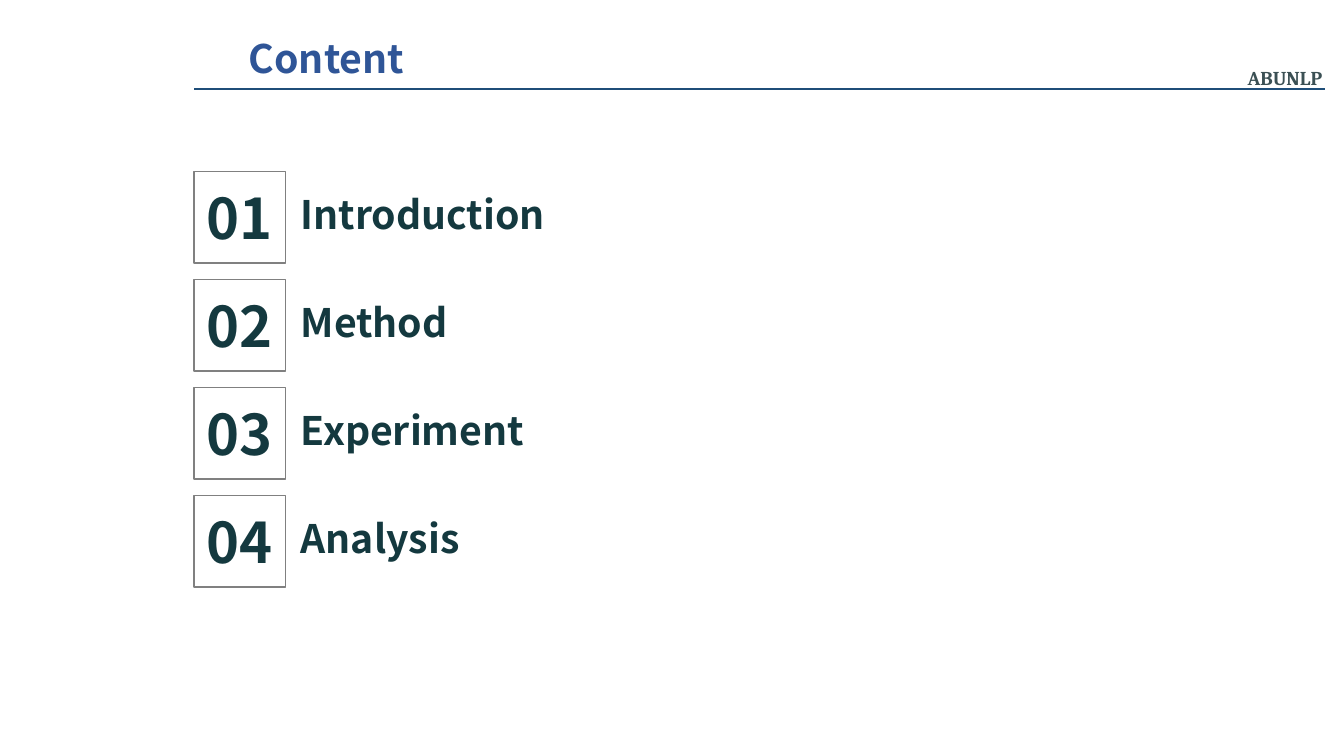
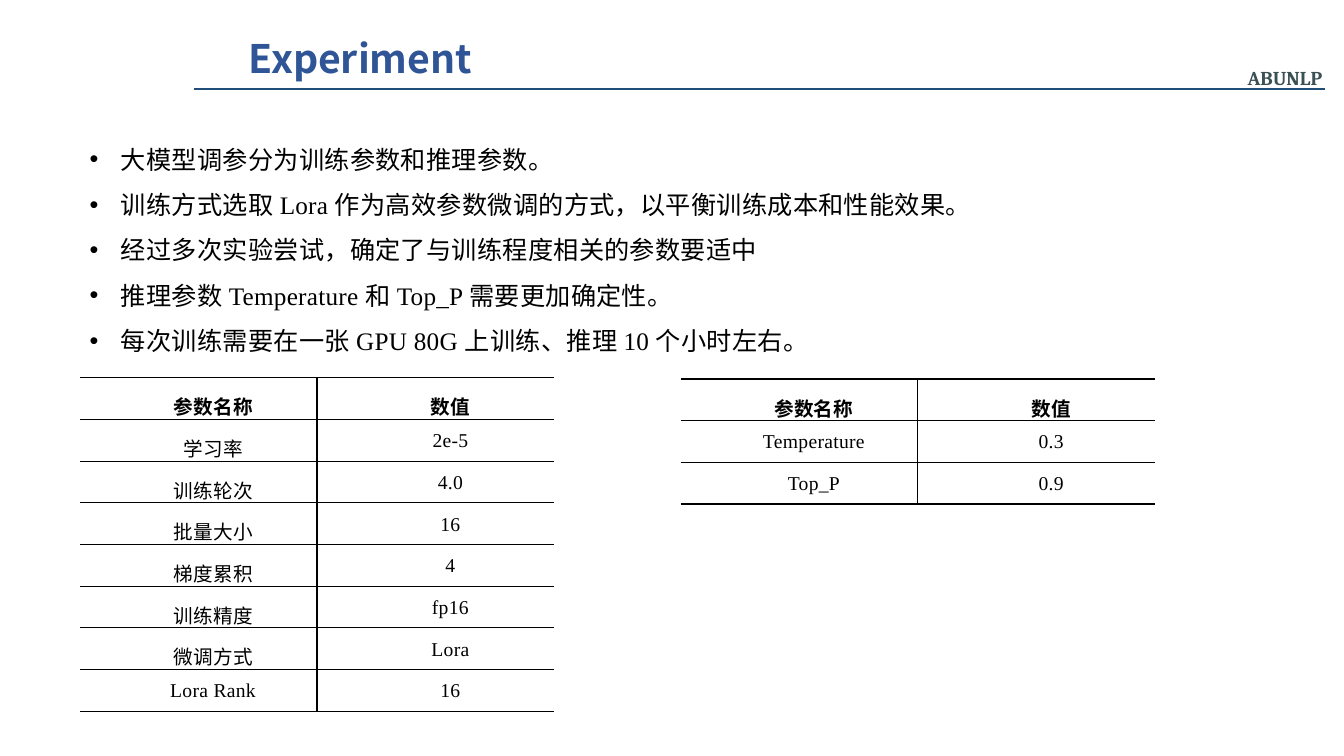
import pptx
import pptx.util
import pptx.dml.color
import pptx.enum.shapes
import pptx.enum.text
import pptx.oxml
import pptx.oxml.ns
import lxml.etree

Cm, Pt = pptx.util.Cm, pptx.util.Pt
RGBColor = pptx.dml.color.RGBColor
ALIGN = pptx.enum.text.PP_ALIGN
MIDDLE = pptx.enum.text.MSO_ANCHOR.MIDDLE
qn = pptx.oxml.ns.qn

# Content
TOPICS = ["Introduction", "Method", "Experiment", "Analysis"]
POINTS = [
    "大模型调参分为训练参数和推理参数。",
    "训练方式选取 Lora 作为高效参数微调的方式，以平衡训练成本和性能效果。",
    "经过多次实验尝试，确定了与训练程度相关的参数要适中",
    "推理参数 Temperature 和 Top_P 需要更加确定性。",
    "每次训练需要在一张 GPU 80G 上训练、推理 10 个小时左右。",
]
HEAD = ("参数名称", "数值")
TRAIN = [
    HEAD, ("学习率", "2e-5"), ("训练轮次", "4.0"), ("批量大小", "16"),
    ("梯度累积", "4"), ("训练精度", "fp16"), ("微调方式", "Lora"),
    ("Lora Rank", "16"),
]
INFER = [HEAD, ("Temperature", "0.3"), ("Top_P", "0.9")]
GROUP = "ABUNLP"

# Shared style
SANS, SERIF, TIMES = "Noto Sans CJK SC", "Cambria", "Times New Roman"
BLUE = RGBColor(0x2F, 0x55, 0x97)
NAVY = RGBColor(0x1F, 0x4E, 0x79)
TEAL = RGBColor(0x14, 0x39, 0x3F)
SLATE = RGBColor(0x3B, 0x50, 0x54)
GRAY = RGBColor(0x80, 0x80, 0x80)
BLACK = RGBColor(0, 0, 0)


def write(para, text, size, color, font=SANS, bold=True, track=None):
    run = para.add_run()
    run.text = text
    run.font.size, run.font.bold, run.font.name = Pt(size), bold, font
    run.font.color.rgb = color
    props = run.font._element
    lxml.etree.SubElement(props, qn("a:ea"), typeface=SANS)
    if track:
        props.set("spc", str(track))


def add_box(slide, left, top, width, height):
    box = slide.shapes.add_textbox(Cm(left), Cm(top), Cm(width), Cm(height))
    box.text_frame.word_wrap = True
    return box.text_frame


def indent(para, left, first):
    props = para._p.get_or_add_pPr()
    props.set("marL", str(Cm(left)))
    props.set("indent", str(Cm(first)))
    return props


def add_page(deck, title):
    slide = deck.slides.add_slide(deck.slide_layouts[6])
    # Rule below the title
    rule = slide.shapes.add_connector(
        pptx.enum.shapes.MSO_CONNECTOR.STRAIGHT,
        Cm(4.89), Cm(2.24), Cm(33.38), Cm(2.24))
    rule.line.color.rgb, rule.line.width = NAVY, Pt(1.25)
    lxml.etree.SubElement(rule._element.spPr, qn("a:effectLst"))
    # Title and group name
    frame = add_box(slide, 6.02, 0.74, 7.72, 1.45)
    write(frame.paragraphs[0], title, 28, BLUE)
    frame = add_box(slide, 31.29, 1.5, 2.31, 0.89)
    frame.vertical_anchor = MIDDLE
    frame.margin_left = frame.margin_right = Cm(0.15)
    frame.margin_top = frame.margin_bottom = Cm(0.15)
    write(frame.paragraphs[0], GROUP, 14, SLATE, SERIF)
    return slide


def add_topics(slide, left=4.89, top=4.32, side=2.31, step=2.72):
    for i, topic in enumerate(TOPICS):
        y = top + i * step
        box = slide.shapes.add_shape(
            pptx.enum.shapes.MSO_SHAPE.RECTANGLE,
            Cm(left), Cm(y), Cm(side), Cm(side))
        box.shadow.inherit = False
        box.fill.background()
        box.line.color.rgb, box.line.width = GRAY, Pt(1)
        frame = box.text_frame
        frame.word_wrap, frame.vertical_anchor = False, MIDDLE
        para = frame.paragraphs[0]
        para.alignment = ALIGN.CENTER
        write(para, f"{i + 1:02}", 40, TEAL)
        label = add_box(slide, left + side + 0.13, y + 0.35, 9, 1.45)
        write(label.paragraphs[0], topic, 28, TEAL)


def add_points(slide):
    frame = add_box(slide, 2.01, 3.12, 27.41, 7.04)
    for i, point in enumerate(POINTS):
        para = frame.add_paragraph() if i else frame.paragraphs[0]
        para.line_spacing = 1.5
        props = indent(para, 0.79, -0.79)
        lxml.etree.SubElement(props, qn("a:buFont"), typeface="Arial")
        lxml.etree.SubElement(props, qn("a:buChar"), char="•")
        write(para, point, 18, BLACK, TIMES, False, 20)


def set_edges(cell, drawn):
    props = cell._tc.get_or_add_tcPr()
    for i, side in enumerate("LRTB"):
        edge = lxml.etree.Element(qn("a:ln" + side), w=str(Pt(1)))
        if side in drawn:
            fill = lxml.etree.SubElement(edge, qn("a:solidFill"))
            lxml.etree.SubElement(fill, qn("a:srgbClr"), val=str(BLACK))
        else:
            lxml.etree.SubElement(edge, qn("a:noFill"))
        props.insert(i, edge)


def add_grid(slide, rows, left, top, wide=5.98, high=1.05):
    grid = slide.shapes.add_table(
        len(rows), 2, Cm(left), Cm(top),
        Cm(2 * wide), Cm(high * len(rows))).table
    grid.first_row = grid.horz_banding = False
    for r, row in enumerate(rows):
        for c, text in enumerate(row):
            cell = grid.cell(r, c)
            cell.fill.background()
            cell.margin_left = cell.margin_right = Cm(0.18)
            cell.margin_top = cell.margin_bottom = 0
            set_edges(cell, "LTB" if c else "RTB")
            para = cell.text_frame.paragraphs[0]
            para.alignment, para.line_spacing = ALIGN.CENTER, 1.5
            indent(para, 0, 0.74)
            write(para, text, 14, BLACK, TIMES, r == 0, 20)


def main():
    deck = pptx.Presentation()
    deck.slide_width, deck.slide_height = Cm(33.87), Cm(19.05)
    add_topics(add_page(deck, "Content"))
    slide = add_page(deck, "Experiment")
    add_points(slide)
    add_grid(slide, TRAIN, 2.01, 9.52)
    add_grid(slide, INFER, 17.15, 9.55)
    deck.save("out.pptx")


if __name__ == "__main__":
    main()
